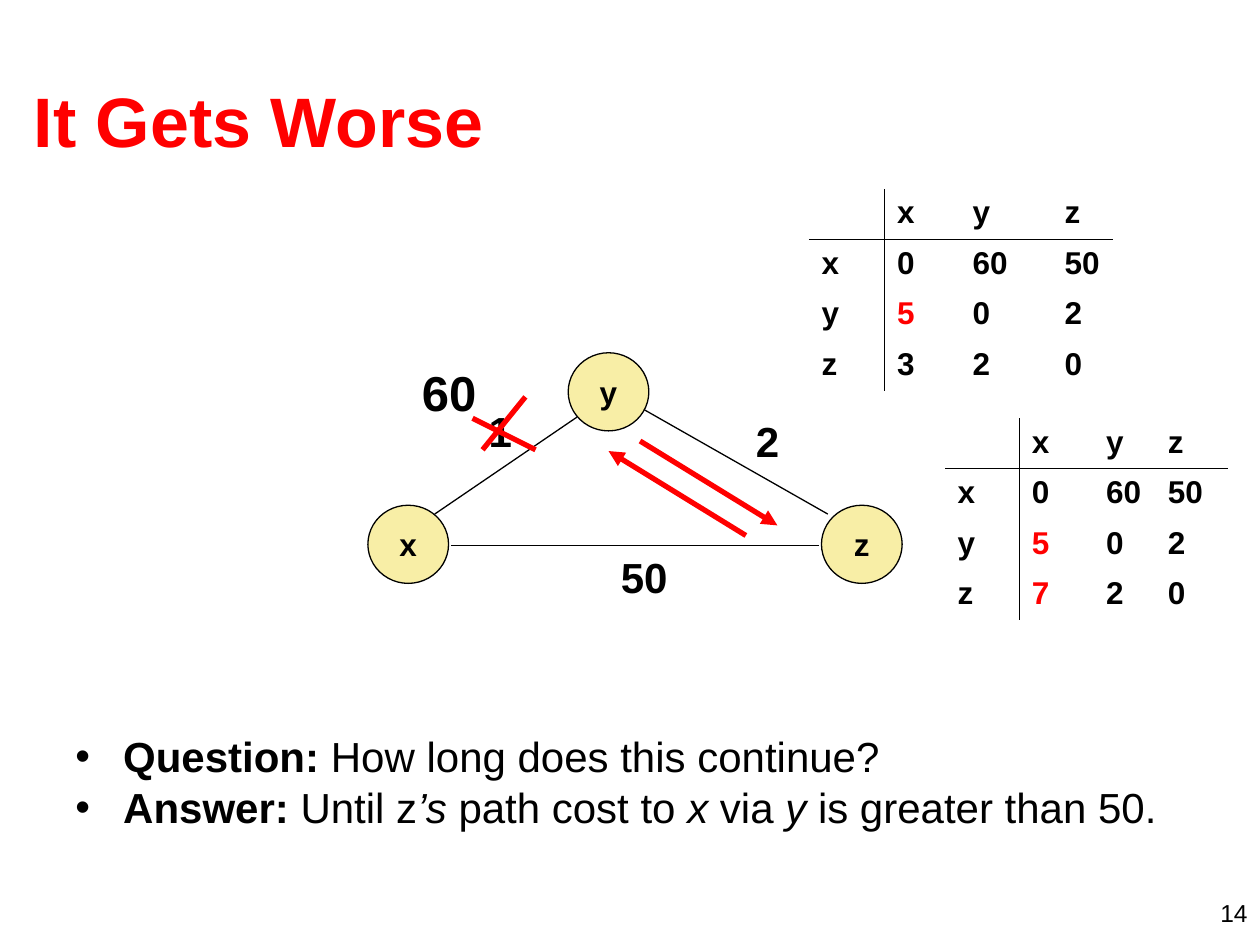
from pptx import Presentation
from pptx.dml.color import RGBColor
from pptx.enum.shapes import MSO_CONNECTOR, MSO_SHAPE
from pptx.enum.text import MSO_ANCHOR, PP_ALIGN
from pptx.oxml import parse_xml
from pptx.oxml.ns import nsdecls, qn
from pptx.util import Inches, Pt
from lxml.etree import SubElement

HUES = {"ink": "000000", "red": "FF0000", "node": "F8EEA6"}
PLAIN = "{2D5ABB26-0587-4C30-8999-92F81FD0307C}"


def hue(name):
    return RGBColor.from_string(HUES[name])


def add_run(para, text, size, tint="ink", bold=False, slant=False):
    run = para.add_run()
    run.text = text
    font = run.font
    font.name = "Arial"
    font.size = Pt(size)
    font.bold = bold
    font.italic = slant
    font.color.rgb = hue(tint)


def add_box(slide, left, top, width, height):
    box = slide.shapes.add_textbox(
        Inches(left), Inches(top), Inches(width), Inches(height))
    box.text_frame.word_wrap = True
    return box.text_frame


def add_line(slide, start, end, tint="ink", width=0.75, arrow=False):
    ends = [Inches(v) for v in start + end]
    line = slide.shapes.add_connector(MSO_CONNECTOR.STRAIGHT, *ends)
    line.line.color.rgb = hue(tint)
    line.line.width = Pt(width)
    if arrow:
        tip = SubElement(line.line._get_or_add_ln(), qn("a:tailEnd"))
        tip.set("type", "triangle")
    SubElement(line._element.spPr, qn("a:effectLst"))


def add_title(slide, left, top, width, height):
    frame = add_box(slide, left, top, width, height)
    frame.vertical_anchor = MSO_ANCHOR.MIDDLE
    add_run(frame.paragraphs[0], "It Gets Worse", 40, "red", True)


def add_notes(slide, left, top, width, height):
    items = [
        [("Question:", "b"), (" How long does this continue?", "")],
        [("Answer:", "b"), (" Until z", ""), ("\u2019s ", "i"),
         ("path cost to ", ""), ("x", "i"), (" via ", ""), ("y ", "i"),
         ("is greater than 50.", "")],
    ]
    frame = add_box(slide, left, top, width, height)
    for i, runs in enumerate(items):
        para = frame.add_paragraph() if i else frame.paragraphs[0]
        para.line_spacing = 0.8
        para.space_before = Pt(6)
        props = para._p.get_or_add_pPr()
        props.set("marL", str(Inches(0.38)))
        props.set("indent", str(-Inches(0.38)))
        SubElement(props, qn("a:buFont")).set("typeface", "Arial")
        SubElement(props, qn("a:buChar")).set("char", "\u2022")
        for text, style in runs:
            add_run(para, text, 24, "ink", style == "b", style == "i")


def add_node(slide, name, left, top):
    node = slide.shapes.add_shape(
        MSO_SHAPE.OVAL, Inches(left), Inches(top), Inches(0.64), Inches(0.62))
    node.shadow.inherit = False
    node.fill.solid()
    node.fill.fore_color.rgb = hue("node")
    node.line.color.rgb = hue("ink")
    node.line.width = Pt(0.75)
    frame = node.text_frame
    frame.word_wrap = False
    frame.vertical_anchor = MSO_ANCHOR.MIDDLE
    para = frame.paragraphs[0]
    para.alignment = PP_ALIGN.CENTER
    add_run(para, name, 18, "ink", True)


def add_graph(slide, left, top):
    def at(x, y):
        return left + x, top + y

    for name, x, y in [("y", 1.59, 0), ("x", 0, 1.21), ("z", 3.6, 1.21)]:
        add_node(slide, name, *at(x, y))
    edges = [((0.66, 1.53), (3.58, 1.53)), ((0.53, 1.28), (1.66, 0.51)),
             ((2.19, 0.45), (3.65, 1.28))]
    for start, end in edges:
        add_line(slide, at(*start), at(*end))
    costs = [("1", 0.86, 0.37, 0.47, 24), ("2", 2.98, 0.45, 0.47, 24),
             ("50", 1.91, 1.53, 0.67, 24), ("60", 0.33, 0.03, 0.67, 28)]
    for text, x, y, width, size in costs:
        frame = add_box(slide, *at(x, y), width, 0.5)
        add_run(frame.paragraphs[0], text, size, "ink", True)
    marks = [((0.83, 0.52), (1.33, 0.77), False),
             ((1.25, 0.35), (0.91, 0.77), False),
             ((2.16, 0.7), (3.25, 1.37), True),
             ((3, 1.45), (1.91, 0.78), True)]
    for start, end, arrow in marks:
        add_line(slide, at(*start), at(*end), "red", 3, arrow)


def add_rules(cell, row, col):
    drawn = {"L": col == 1, "R": col == 0, "T": row == 1, "B": row == 0}
    props = cell._tc.get_or_add_tcPr()
    for i, (side, shown) in enumerate(drawn.items()):
        paint = (f'<a:solidFill><a:srgbClr val="{HUES["ink"]}"/></a:solidFill>'
                 if shown else "<a:noFill/>")
        props.insert(i, parse_xml(
            f'<a:ln{side} {nsdecls("a")} w="{Pt(0.45)}">{paint}</a:ln{side}>'))


def add_costs(slide, left, top, widths, rows, reds):
    frame = slide.shapes.add_table(
        len(rows), len(widths), Inches(left), Inches(top),
        Inches(sum(widths)), Inches(0.4 * len(rows)))
    table = frame.table
    table.first_row = table.horz_banding = False
    table._tbl.tblPr.find(qn("a:tableStyleId")).text = PLAIN
    for col, width in zip(table.columns, widths):
        col.width = Inches(width)
    for r, row in enumerate(rows):
        table.rows[r].height = Inches(0.4)
        for c, text in enumerate(row):
            cell = table.cell(r, c)
            cell.fill.background()
            add_rules(cell, r, c)
            if text:
                para = cell.text_frame.paragraphs[0]
                para.space_before = Pt(4.5)
                tint = "red" if (r, c) in reds else "ink"
                add_run(para, text, 18, tint, True)


def add_page(slide, left, top, width, height):
    para = add_box(slide, left, top, width, height).paragraphs[0]
    para.alignment = PP_ALIGN.RIGHT
    add_run(para, "14", 14)


def build():
    deck = Presentation()
    deck.slide_width = Inches(10)
    deck.slide_height = Inches(7.5)
    slide = deck.slides.add_slide(deck.slide_layouts[6])
    add_title(slide, 0.17, 0.32, 9.58, 1.25)
    add_notes(slide, 0.5, 5.83, 9, 0.87)
    add_graph(slide, 2.92, 2.8)
    rows = [["", "x", "y", "z"], ["x", "0", "60", "50"], ["y", "5", "0", "2"]]
    add_costs(slide, 6.42, 1.5, [0.6, 0.6, 0.73, 0.48],
              rows + [["z", "3", "2", "0"]], {(2, 1)})
    add_costs(slide, 7.5, 3.32, [0.59, 0.59, 0.49, 0.58],
              rows + [["z", "7", "2", "0"]], {(2, 1), (3, 1)})
    add_page(slide, 7.67, 7.08, 2.33, 0.25)
    deck.save("out.pptx")


build()
